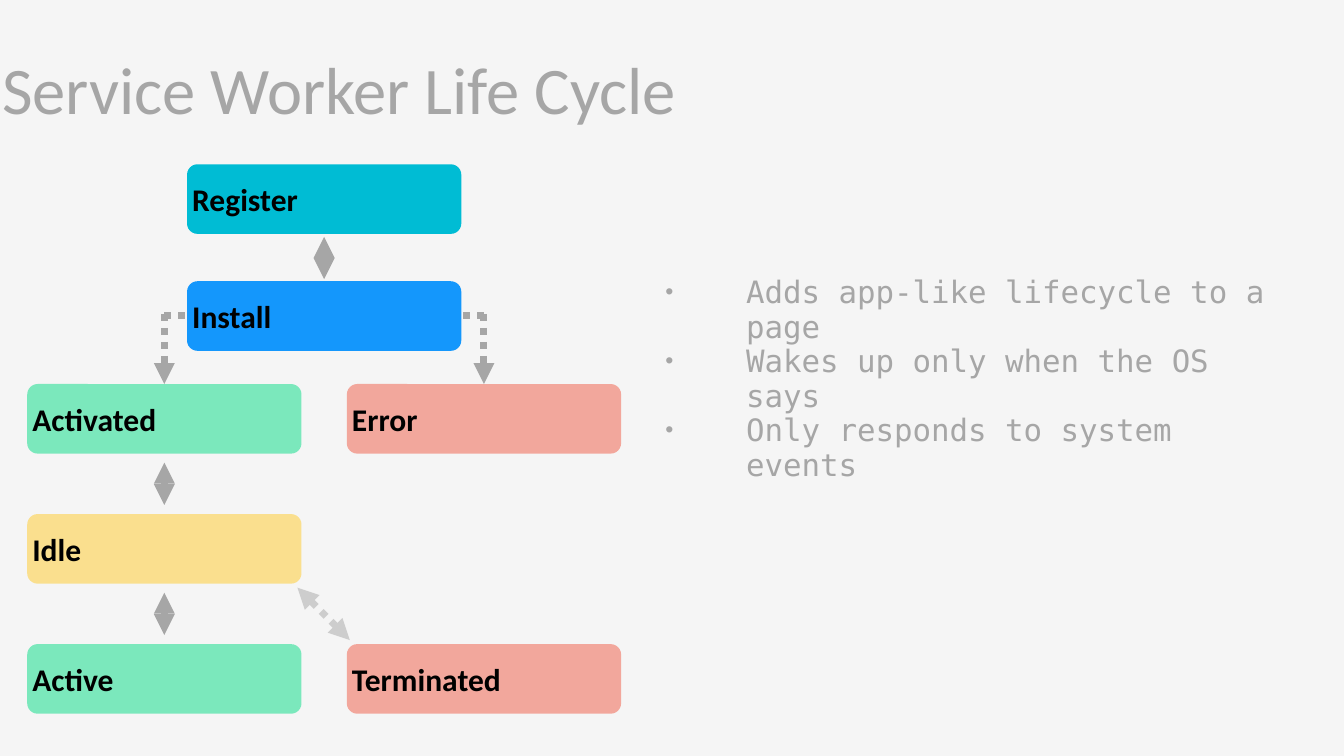
from dataclasses import dataclass

from lxml import etree
from pptx import Presentation
from pptx.dml.color import RGBColor
from pptx.enum import dml, shapes, text
from pptx.oxml import ns
from pptx.util import Inches, Pt


@dataclass(frozen=True)
class Theme:
    background: str = "F5F5F5"
    grey: str = "A6A6A6"
    black: str = "000000"
    cyan: str = "00BCD4"
    blue: str = "1497FC"
    green: str = "03DC84"
    red: str = "F15B44"
    yellow: str = "FFCA28"
    sans: str = "Calibri"
    mono: str = "DejaVu Sans Mono"
    title_size: float = 47.5
    state_size: float = 22.5
    list_size: float = 22
    line_width: float = 5


THEME = Theme()
STATE_WIDTH, STATE_HEIGHT = 2.72, 0.69


def add_xml(parent, tag, **attributes):
    return etree.SubElement(parent, ns.qn(tag), attributes)


def set_alpha(fill_owner, percent):
    """Make the solid colour found inside an element partly transparent."""
    colour = next(fill_owner.iter(ns.qn("a:srgbClr")))
    add_xml(colour, "a:alpha", val=str(percent * 1000))


def place(shape, left, top, width, height):
    shape.left, shape.top = Inches(left), Inches(top)
    shape.width, shape.height = Inches(width), Inches(height)


def write(shape, lines, *, font, size, color, bold=False, inset=0.02,
          anchor=text.MSO_ANCHOR.MIDDLE, spacing=None, bullet_indent=None):
    """Fill a shape with one paragraph per line, in a single format."""
    frame = shape.text_frame
    frame.word_wrap = True
    frame.auto_size = text.MSO_AUTO_SIZE.NONE
    frame.vertical_anchor = anchor
    frame.margin_left = frame.margin_right = Inches(inset)
    frame.margin_top = frame.margin_bottom = Inches(inset)
    for index, line in enumerate(lines):
        paragraph = frame.paragraphs[0] if index == 0 else frame.add_paragraph()
        if bullet_indent:
            properties = paragraph._p.get_or_add_pPr()
            properties.set("marL", str(Inches(bullet_indent)))
            properties.set("indent", str(-Inches(bullet_indent)))
            add_xml(properties, "a:buSzPct", val="75000")
            add_xml(properties, "a:buChar", char="•")
        paragraph.alignment = text.PP_ALIGN.LEFT
        paragraph.space_before = Pt(0)
        paragraph.line_spacing = spacing
        run = paragraph.add_run()
        run.text = line
        run.font.name, run.font.size, run.font.bold = font, Pt(size), bold
        run.font.color.rgb = RGBColor.from_string(color)


def add_state(slide, label, left, top, color, alpha=None):
    state = slide.shapes.add_shape(
        shapes.MSO_SHAPE.ROUNDED_RECTANGLE, Inches(left), Inches(top),
        Inches(STATE_WIDTH), Inches(STATE_HEIGHT))
    state.adjustments[0] = 0.15
    state.shadow.inherit = False
    state.line.fill.background()
    state.fill.solid()
    state.fill.fore_color.rgb = RGBColor.from_string(color)
    if alpha:
        set_alpha(state._element.spPr, alpha)
    write(state, [label], font=THEME.sans, size=THEME.state_size,
          color=THEME.black, bold=True)
    return state


def add_dotted(slide, start, end, head=False, tail=False, alpha=None):
    dotted = slide.shapes.add_connector(
        shapes.MSO_CONNECTOR.STRAIGHT, *(Inches(v) for v in (*start, *end)))
    dotted.line.width = Pt(THEME.line_width)
    dotted.line.color.rgb = RGBColor.from_string(THEME.grey)
    dotted.line.dash_style = dml.MSO_LINE.ROUND_DOT
    outline = dotted.line._get_or_add_ln()
    if alpha:
        set_alpha(outline, alpha)
    if head:
        add_xml(outline, "a:headEnd", type="triangle")
    if tail:
        add_xml(outline, "a:tailEnd", type="triangle")
    add_xml(dotted._element.spPr, "a:effectLst")
    return dotted


def add_branch(slide, install, side, outcome, corner_x, install_edge, install_y):
    """Run from one side of Install outwards, then down to the outcome."""
    across = add_dotted(slide, (corner_x, install_y), (install_edge, install_y))
    across.end_connect(install, side)
    down = add_dotted(slide, (corner_x, install_y - 0.02),
                      (corner_x, install_y + 0.67), tail=True)
    down.end_connect(outcome, 0)


def add_life_cycle(slide, left, top, width):
    """Draw the state diagram in two columns with a centred stem above."""
    right = left + width - STATE_WIDTH
    middle = (left + right) / 2
    install_top = top + 1.16
    activated_top, idle_top, active_top = (top + 2.18 + 1.29 * i for i in range(3))
    half = STATE_WIDTH / 2

    add_state(slide, "Register", middle, top, THEME.cyan)
    install = add_state(slide, "Install", middle, install_top, THEME.blue)
    activated = add_state(slide, "Activated", left, activated_top, THEME.green, 50)
    error = add_state(slide, "Error", right, activated_top, THEME.red, 50)
    add_state(slide, "Idle", left, idle_top, THEME.yellow, 50)
    add_state(slide, "Active", left, active_top, THEME.green, 50)
    add_state(slide, "Terminated", right, active_top, THEME.red, 50)

    install_y = install_top + STATE_HEIGHT / 2
    add_branch(slide, install, 1, activated, left + half, middle, install_y)
    add_branch(slide, install, 3, error, right + half,
               middle + STATE_WIDTH, install_y)
    for column, upper_top, gap in ((middle, top, 0.03),
                                   (left, activated_top, 0.09),
                                   (left, idle_top, 0.09)):
        x, y = column + half, upper_top + STATE_HEIGHT + gap
        add_dotted(slide, (x, y), (x, y + 0.42), head=True, tail=True)
    add_dotted(slide, (left + STATE_WIDTH - 0.04, idle_top + STATE_HEIGHT + 0.04),
               (right + 0.03, active_top - 0.04), head=True, tail=True, alpha=50)


def add_title(slide, *box):
    title = slide.shapes.title
    place(title, *box)
    write(title, ["Service Worker Life Cycle"], font=THEME.sans,
          size=THEME.title_size, color=THEME.grey, inset=0.03,
          anchor=text.MSO_ANCHOR.TOP, spacing=0.9)


def add_traits(slide, *box):
    traits = slide.placeholders[1]
    place(traits, *box)
    write(traits, ["Adds app-like lifecycle to a page",
                   "Wakes up only when the OS says",
                   "Only responds to system events"],
          font=THEME.mono, size=THEME.list_size, color=THEME.grey,
          spacing=Pt(24.7), bullet_indent=0.8)


def main():
    presentation = Presentation()
    presentation.slide_width = Inches(13.33)
    presentation.slide_height = Inches(7.5)
    slide = presentation.slides.add_slide(presentation.slide_layouts[1])
    slide.background.fill.solid()
    slide.background.fill.fore_color.rgb = RGBColor.from_string(THEME.background)
    add_title(slide, -0.01, 0.54, 13.36, 1.08)
    add_traits(slide, 6.58, 2.71, 6.17, 2.1)
    add_life_cycle(slide, 0.27, 1.63, 5.89)
    presentation.save("out.pptx")


if __name__ == "__main__":
    main()
